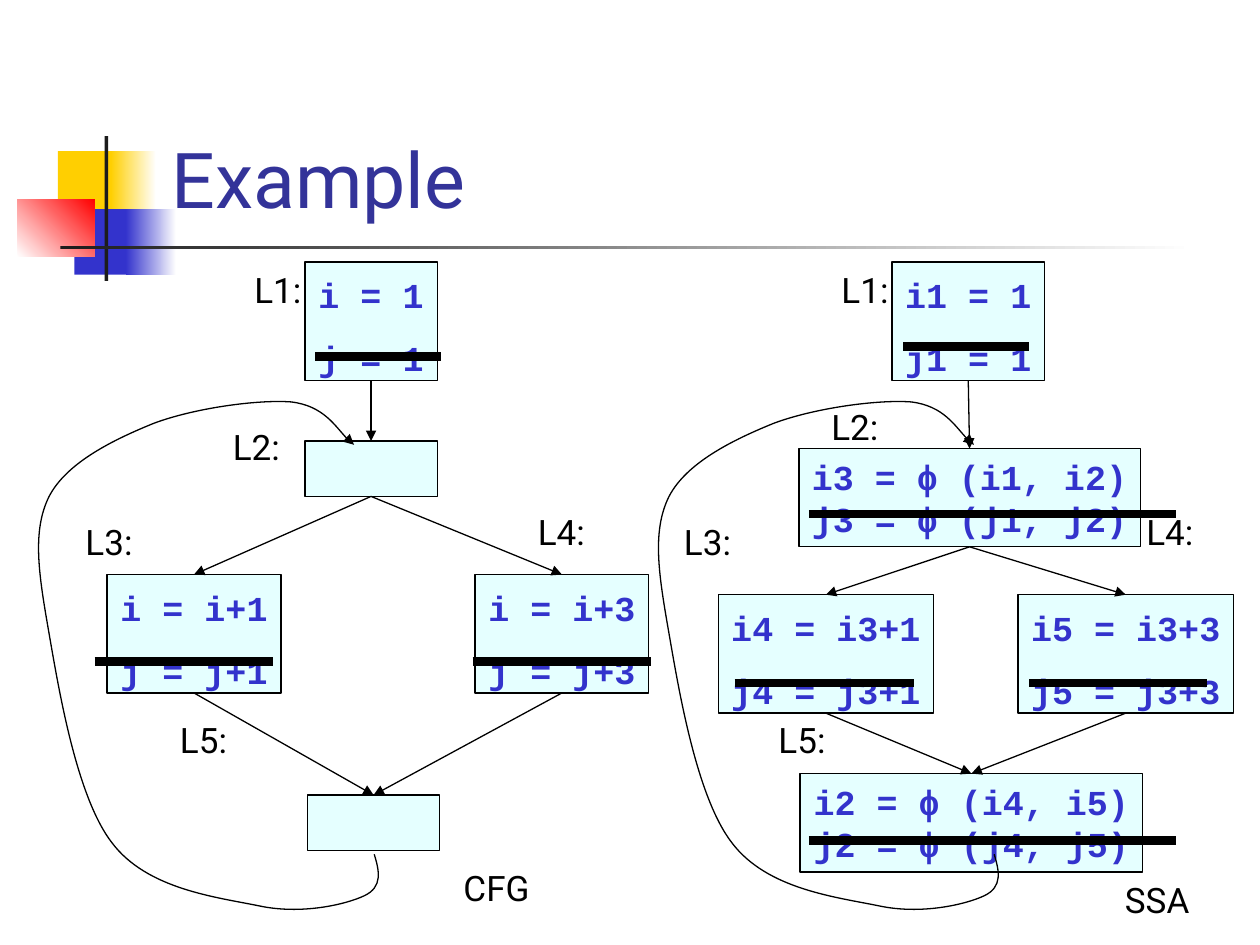
from lxml import etree
from pptx import Presentation
from pptx.dml.color import RGBColor
from pptx.enum.shapes import MSO_CONNECTOR, MSO_SHAPE
from pptx.enum.text import MSO_ANCHOR, PP_ALIGN
from pptx.oxml.ns import qn
from pptx.util import Inches, Pt

RECT = MSO_SHAPE.RECTANGLE
LINE = MSO_CONNECTOR.STRAIGHT
MIDDLE, BOTTOM = MSO_ANCHOR.MIDDLE, MSO_ANCHOR.BOTTOM
LEFT, CENTER = PP_ALIGN.LEFT, PP_ALIGN.CENTER

TITLE = {"name": "Roboto", "size": Pt(44), "bold": False}
LABEL = {"name": "Roboto", "size": Pt(20), "bold": False}
CODE = {"name": "Courier New", "size": Pt(20), "bold": True}


def color(code):
    return RGBColor.from_string(code)


def put(item, vals):
    for key, val in vals.items():
        setattr(item, key, val)


def add(node, tag, **attrs):
    return etree.SubElement(node, qn(tag), attrs)


class Deck:
    ink = "000000"
    blue = "3333CC"
    pale = "CCFFFF"

    def __init__(self):
        self.prs = Presentation()
        put(self.prs, {"slide_width": Inches(10), "slide_height": Inches(7.5)})
        self.slide = self.prs.slides.add_slide(self.prs.slide_layouts[5])
        self.shapes = self.slide.shapes

    def fill_text(self, frame, lines, font, tint, align=LEFT, gap=0):
        frame.text = "\n".join(lines)
        for i, para in enumerate(frame.paragraphs):
            put(para, {"alignment": align, "space_before": Pt(gap if i else 0)})
            put(para.font, font)
            para.font.color.rgb = color(tint)

    def title(self, text, x, y, w, h):
        shape = self.shapes.title
        put(shape, {"left": Inches(x), "top": Inches(y),
                    "width": Inches(w), "height": Inches(h)})
        put(shape.text_frame, {"vertical_anchor": BOTTOM, "word_wrap": True})
        self.fill_text(shape.text_frame, [text], TITLE, "333399")

    def rect(self, x, y, w, h):
        shape = self.shapes.add_shape(RECT, *map(Inches, (x, y, w, h)))
        shape.shadow.inherit = False
        return shape

    def block(self, x, y, w, h, *tints, angle=0):
        shape = self.rect(x, y, w, h)
        shape.line.fill.background()
        if len(tints) == 1:
            shape.fill.solid()
            shape.fill.fore_color.rgb = color(tints[0])
            return
        shape.fill.gradient()
        shape.fill.gradient_angle = angle
        for stop, tint in zip(shape.fill.gradient_stops, tints):
            stop.color.rgb = color(tint)

    def node(self, x, y, w, h, lines, gap):
        shape = self.rect(x, y, w, h)
        shape.fill.solid()
        shape.fill.fore_color.rgb = color(self.pale)
        tint = shape._element.spPr.find(qn("a:solidFill"))[0]
        add(tint, "a:alpha", val="50000")
        self.ink_line(shape.line, 0.75)
        put(shape.text_frame, {"vertical_anchor": MIDDLE, "word_wrap": False,
                               "margin_top": Inches(0.13 if gap else 0.05)})
        if lines:
            self.fill_text(shape.text_frame, lines, CODE, self.blue, CENTER, gap)
        return shape

    def label(self, text, x, y, w=0.58):
        box = self.shapes.add_textbox(*map(Inches, (x, y, w, 0.43)))
        box.text_frame.word_wrap = True
        self.fill_text(box.text_frame, [text], LABEL, self.ink)

    def ink_line(self, line, width, arrow=False):
        line.width = Pt(width)
        line.color.rgb = color(self.ink)
        if arrow:
            add(line._get_or_add_ln(), "a:tailEnd", type="triangle")

    def link(self, x1, y1, x2, y2, width, arrow=False):
        line = self.shapes.add_connector(LINE, *map(Inches, (x1, y1, x2, y2)))
        self.ink_line(line.line, width, arrow)
        add(line._element.spPr, "a:effectLst")
        return line

    def edge(self, start, end):
        line = self.link(0, 0, 1, 1, 0.75, True)
        line.begin_connect(start, 2)
        line.end_connect(end, 0)

    def strike(self, x1, x2, y):
        self.link(x1, y, x2, y, 5)

    def curve(self, points, shift):
        spots = [(Inches(x + shift), Inches(y)) for x, y in points]
        build = self.shapes.build_freeform(*spots[0])
        build.add_line_segments(spots[1:], close=False)
        shape = build.convert_to_shape()
        shape.shadow.inherit = False
        shape.fill.background()
        self.ink_line(shape.line, 0.75, True)
        route = next(shape._element.iter(qn("a:path")))
        steps = route.findall(qn("a:lnTo"))
        for i in range(0, len(steps), 3):
            bend = add(route, "a:cubicBezTo")
            for step in steps[i:i + 3]:
                bend.append(step[0])
                route.remove(step)


LOOP = [(2.97, 6.78), (3.01, 6.91), (3.04, 7.04), (2.89, 7.11),
        (2.74, 7.18), (2.39, 7.26), (2.06, 7.19),
        (1.72, 7.12), (1.17, 7.06), (0.89, 6.69),
        (0.61, 6.33), (0.47, 5.49), (0.39, 5.03),
        (0.31, 4.57), (0.25, 4.22), (0.39, 3.94),
        (0.53, 3.67), (0.9, 3.49), (1.22, 3.36),
        (1.54, 3.24), (2.04, 3.17), (2.31, 3.19),
        (2.57, 3.22), (2.72, 3.47), (2.81, 3.53)]

BLOCKS = [(0.46, 1.2, 0.48, 0.52, "FFCF01"),
          (0.88, 1.2, 0.36, 0.52, "FFCF01", "FFFFFF"),
          (0.59, 1.66, 0.46, 0.52, "3333CC"),
          (1, 1.66, 0.4, 0.52, "3333CC", "FFFFFF")]

CFG = {
    "shift": 0,
    "nodes": [(2.42, 2.08, 1.05, 0.94, ["i = 1", "j = 1"], 12),
              (2.42, 3.5, 1.05, 0.44, [], 0),
              (0.85, 4.56, 1.38, 0.94, ["i = i+1", "j = j+1"], 12),
              (3.77, 4.56, 1.38, 0.94, ["i = i+3", "j = j+3"], 12),
              (2.44, 6.31, 1.05, 0.44, [], 0)],
    "labels": [(1.92, 2.08), (1.75, 3.33), (0.58, 4.08), (4.17, 4), (1.33, 5.65)],
    "name": ("CFG", 3.58, 6.83),
    "strikes": [(2.5, 3.5, 2.83), (0.75, 2.17, 5.25), (3.75, 5.17, 5.25)],
}

SSA = {
    "shift": 4.92,
    "nodes": [(7.08, 2.08, 1.21, 0.94, ["i1 = 1", "j1 = 1"], 12),
              (6.34, 3.56, 2.71, 0.78, ["i3 = ϕ (i1, i2)", "j3 = ϕ (j1, j2)"], 0),
              (5.7, 4.72, 1.71, 0.94, ["i4 = i3+1", "j4 = j3+1"], 12),
              (8.08, 4.72, 1.71, 0.94, ["i5 = i3+3", "j5 = j3+3"], 12),
              (6.35, 6.14, 2.72, 0.78, ["i2 = ϕ (i4, i5)", "j2 = ϕ (j4, j5)"], 0)],
    "labels": [(6.58, 2.08), (6.5, 3.17), (5.33, 4.08), (9, 4), (6.08, 5.65)],
    "name": ("SSA", 8.83, 6.92),
    "strikes": [(7.17, 8.17, 2.75), (6.42, 9.33, 4.08), (5.83, 7.25, 5.42),
                (8.17, 9.58, 5.42), (6.42, 9.33, 6.67)],
}

EDGES = [(0, 1), (1, 2), (1, 3), (2, 4), (3, 4)]


def graph(deck, data):
    nodes = [deck.node(*spot) for spot in data["nodes"]]
    for i, spot in enumerate(data["labels"], 1):
        deck.label(f"L{i}:", *spot)
    deck.label(*data["name"], w=0.92)
    for start, end in EDGES:
        deck.edge(nodes[start], nodes[end])
    deck.curve(LOOP, data["shift"])
    for spot in data["strikes"]:
        deck.strike(*spot)


def main():
    deck = Deck()
    for block in BLOCKS:
        deck.block(*block)
    deck.block(0.14, 1.58, 0.61, 0.46, "FFFFFF", "FF0000", angle=45)
    deck.block(0.83, 1.08, 0.03, 1.15, "1C1C1C")
    deck.block(0.48, 1.95, 9, 0.03, "1C1C1C", "FFFFFF")
    deck.title("Example", 1.26, 0.23, 8.52, 1.6)
    for data in (CFG, SSA):
        graph(deck, data)
    deck.prs.save("out.pptx")


if __name__ == "__main__":
    main()
